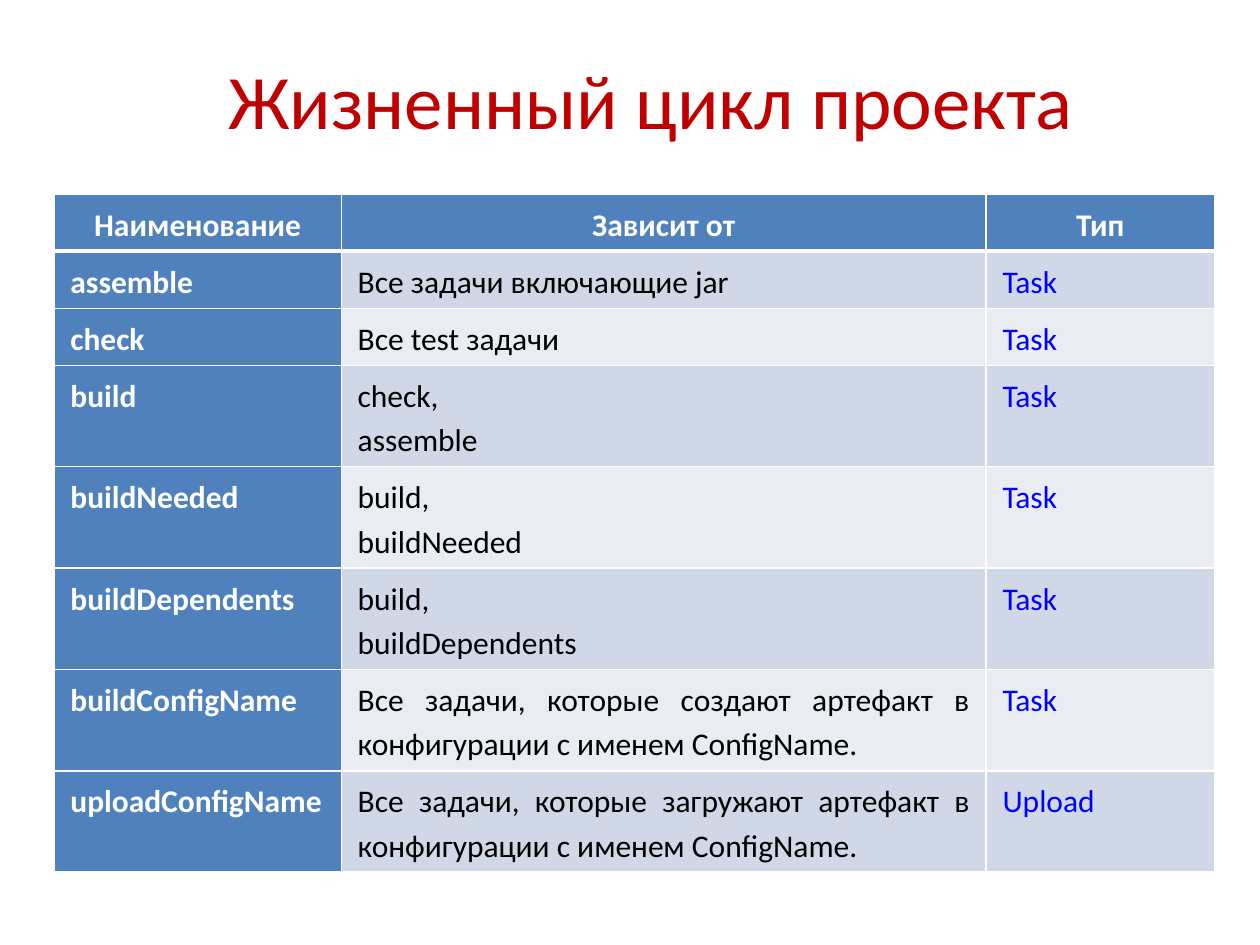
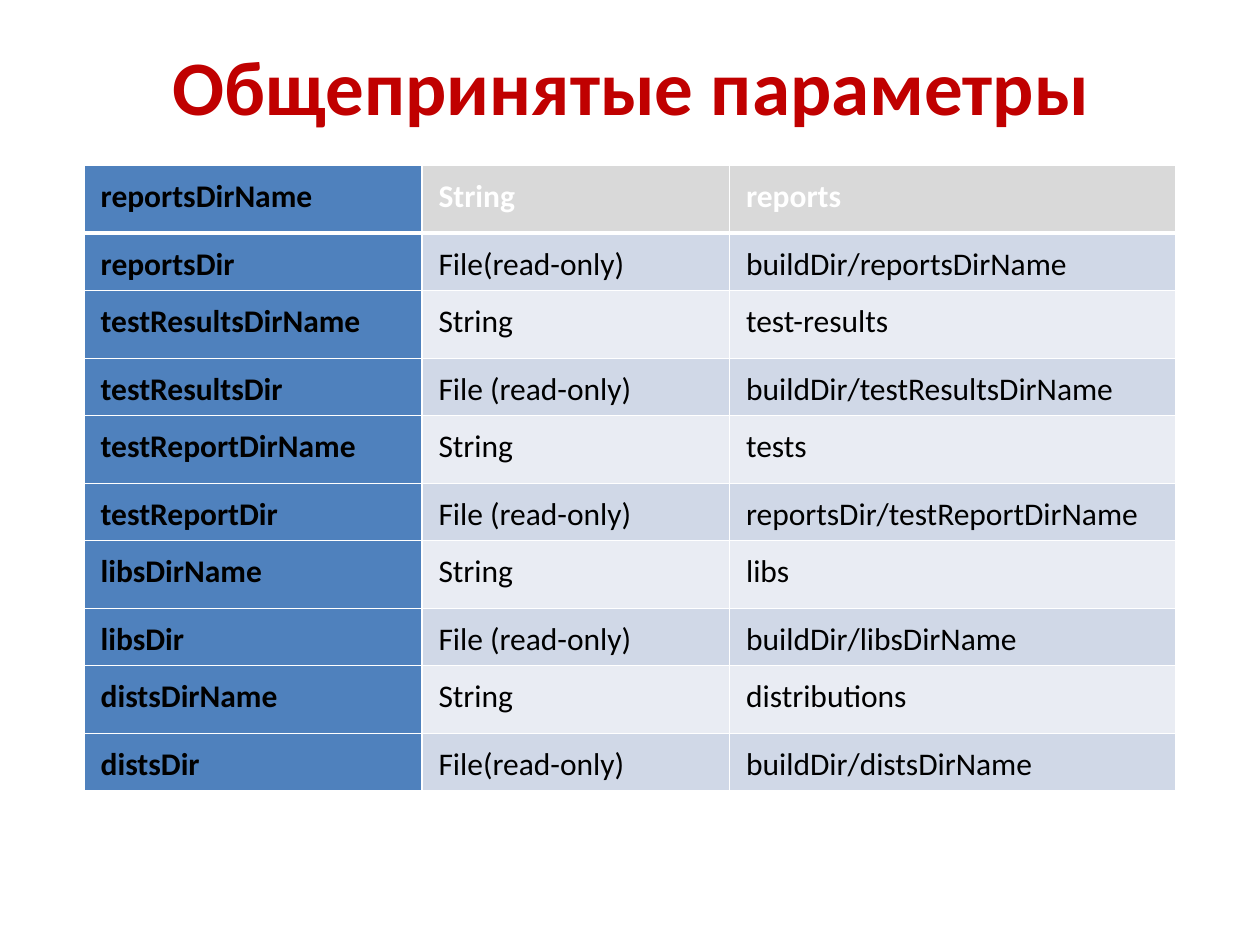
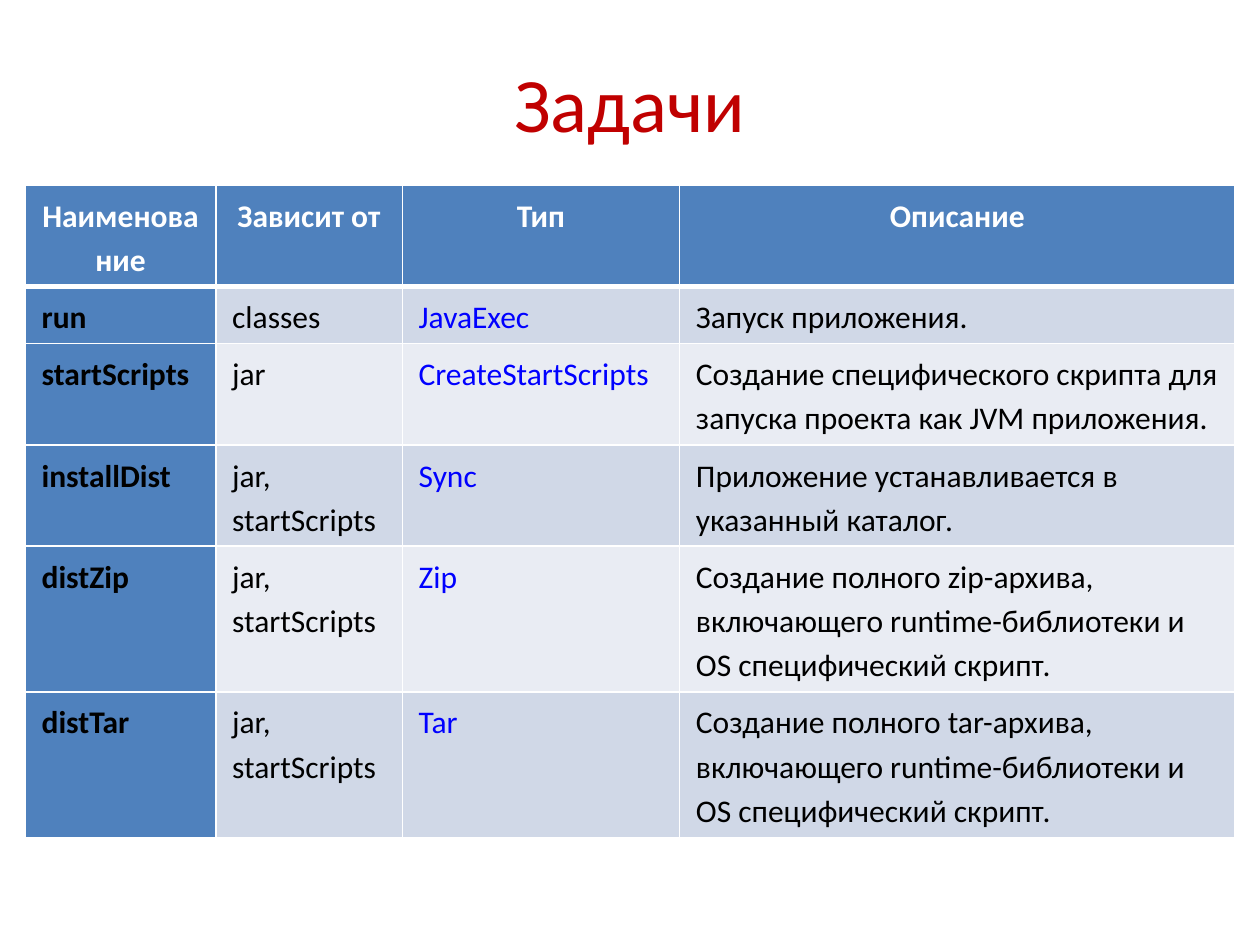
from pptx import Presentation
from pptx.dml.color import RGBColor
from pptx.enum.text import MSO_ANCHOR, MSO_AUTO_SIZE, PP_ALIGN
from pptx.oxml import parse_xml
from pptx.oxml.ns import nsdecls
from pptx.util import Cm, Pt

# Shared style
COLORS = {
    "title": "C00000",
    "blue": "4F81BD",
    "gray": "D9D9D9",
    "band_dark": "D0D8E7",
    "band_light": "E9ECF3",
    "link": "0000FF",
    "black": "000000",
    "white": "FFFFFF",
}
FONT = "Calibri"
THIN, THICK = 0.96, 3


def write(text_frame, text, size=18, color="black", bold=False,
          align=PP_ALIGN.LEFT, line_spacing=None):
    """Write one paragraph for each line of the text."""
    for index, line in enumerate(text.split("\n")):
        paragraph = text_frame.add_paragraph() if index else text_frame.paragraphs[0]
        paragraph.alignment = align
        paragraph.line_spacing = line_spacing
        run = paragraph.add_run()
        run.text = line
        run.font.name = FONT
        run.font.size = Pt(size)
        run.font.bold = bold
        run.font.color.rgb = RGBColor.from_string(COLORS[color])


def row_height(line_count):
    return 0.25 + 0.89 * line_count


class Deck:
    def __init__(self):
        self.presentation = Presentation()
        self.presentation.slide_width = Cm(25.4)
        self.presentation.slide_height = Cm(19.05)
        self.slide = None

    def add_slide(self):
        self.slide = self.presentation.slides.add_slide(self.presentation.slide_layouts[5])

    def title(self, text, left, top, height, bold=False):
        shape = self.slide.shapes.title
        shape.left, shape.top = Cm(left), Cm(top)
        shape.width, shape.height = Cm(22.86), Cm(height)
        shape.text_frame.auto_size = MSO_AUTO_SIZE.NONE
        shape.text_frame.vertical_anchor = MSO_ANCHOR.MIDDLE
        write(shape.text_frame, text, size=44, color="title", bold=bold,
              align=PP_ALIGN.CENTER)

    def borders(self, cell, top, bottom):
        properties = cell._tc.get_or_add_tcPr()
        for side, width in (("L", THIN), ("R", THIN), ("T", top), ("B", bottom)):
            properties.append(parse_xml(
                f'<a:ln{side} {nsdecls("a")} w="{Pt(width)}"><a:solidFill>'
                f'<a:srgbClr val="{COLORS["white"]}"/></a:solidFill></a:ln{side}>'))

    def cell(self, cell, text, fill, top=THIN, bottom=THIN, **text_format):
        self.borders(cell, top, bottom)
        cell.fill.solid()
        cell.fill.fore_color.rgb = RGBColor.from_string(COLORS[fill])
        cell.margin_left = cell.margin_right = Cm(0.33)
        cell.margin_top = cell.margin_bottom = Cm(0.13)
        write(cell.text_frame, text, line_spacing=1.15, **text_format)

    def table(self, rows, left, top, widths, heights, header_fills, header_formats,
              body_formats):
        frame = self.slide.shapes.add_table(
            len(rows), len(widths), Cm(left), Cm(top), Cm(sum(widths)), Cm(sum(heights)))
        table = frame.table
        for column, width in zip(table.columns, widths):
            column.width = Cm(width)
        for row, height in zip(table.rows, heights):
            row.height = Cm(height)

        for row_index, values in enumerate(rows):
            band = "band_dark" if row_index % 2 else "band_light"
            for column_index, text in enumerate(values):
                cell = table.cell(row_index, column_index)
                if row_index == 0:
                    self.cell(cell, text, header_fills[column_index], bottom=THICK,
                              **header_formats[column_index])
                else:
                    self.cell(cell, text, band if column_index else "blue",
                              top=THICK if row_index == 1 else THIN,
                              **body_formats[column_index])


# Cell text formats
HEADER = {"color": "white", "bold": True, "align": PP_ALIGN.CENTER}
WHITE_BOLD = {"color": "white", "bold": True}
BLACK_BOLD = {"bold": True}
PLAIN = {}
JUSTIFIED = {"align": PP_ALIGN.JUSTIFY}
LINK = {"color": "link"}

# Table contents
LIFECYCLE = [
    ("Наименование", "Зависит от", "Тип"),
    ("assemble", "Все задачи включающие jar", "Task"),
    ("check", "Все test задачи", "Task"),
    ("build", "check,\nassemble", "Task"),
    ("buildNeeded", "build,\nbuildNeeded", "Task"),
    ("buildDependents", "build,\nbuildDependents", "Task"),
    ("buildConfigName",
     "Все задачи, которые создают артефакт в конфигурации с именем ConfigName.", "Task"),
    ("uploadConfigName",
     "Все задачи, которые загружают артефакт в конфигурации с именем ConfigName.", "Upload"),
]
PARAMETERS = [
    ("reportsDirName", "String", "reports"),
    ("reportsDir", "File(read-only)", "buildDir/reportsDirName"),
    ("testResultsDirName", "String", "test-results"),
    ("testResultsDir", "File (read-only)", "buildDir/testResultsDirName"),
    ("testReportDirName", "String", "tests"),
    ("testReportDir", "File (read-only)", "reportsDir/testReportDirName"),
    ("libsDirName", "String", "libs"),
    ("libsDir", "File (read-only)", "buildDir/libsDirName"),
    ("distsDirName", "String", "distributions"),
    ("distsDir", "File(read-only)", "buildDir/distsDirName"),
]
ARCHIVE = ("Создание полного {}-архива, включающего runtime-библиотеки "
           "и OS специфический скрипт.")
TASKS = [
    ("Наименование", "Зависит от", "Тип", "Описание"),
    ("run", "classes", "JavaExec", "Запуск приложения."),
    ("startScripts", "jar", "CreateStartScripts",
     "Создание специфического скрипта для запуска проекта как JVM приложения."),
    ("installDist", "jar,\nstartScripts", "Sync",
     "Приложение устанавливается в указанный каталог."),
    ("distZip", "jar,\nstartScripts", "Zip", ARCHIVE.format("zip")),
    ("distTar", "jar,\nstartScripts", "Tar", ARCHIVE.format("tar")),
]


def main():
    deck = Deck()

    # Project lifecycle
    deck.add_slide()
    deck.title("Жизненный цикл проекта", left=1.7, top=0.91, height=2.16)
    deck.table(LIFECYCLE, left=1.09, top=3.91, widths=[5.79, 13, 4.6],
               heights=[row_height(1)] * 3 + [row_height(2)] * 5,
               header_fills=["blue"] * 3, header_formats=[HEADER] * 3,
               body_formats=[WHITE_BOLD, JUSTIFIED, LINK])

    # Common parameters
    deck.add_slide()
    deck.title("Общепринятые параметры", left=1.3, top=0.53, height=2.36, bold=True)
    deck.table(PARAMETERS, left=1.7, top=3.33, widths=[6.81, 6.2, 8.99],
               heights=[1.37, row_height(1)] * 5,
               header_fills=["blue", "gray", "gray"],
               header_formats=[BLACK_BOLD, WHITE_BOLD, WHITE_BOLD],
               body_formats=[BLACK_BOLD, PLAIN, PLAIN])

    # Tasks
    deck.add_slide()
    deck.title("Задачи", left=1.27, top=0.76, height=2.57)
    deck.table(TASKS, left=0.51, top=3.73, widths=[3.84, 3.76, 5.59, 11.2],
               heights=[row_height(lines) for lines in (2, 1, 2, 2, 3, 3)],
               header_fills=["blue"] * 4, header_formats=[HEADER] * 4,
               body_formats=[BLACK_BOLD, PLAIN, LINK, PLAIN])

    deck.presentation.save("out.pptx")


if __name__ == "__main__":
    main()
